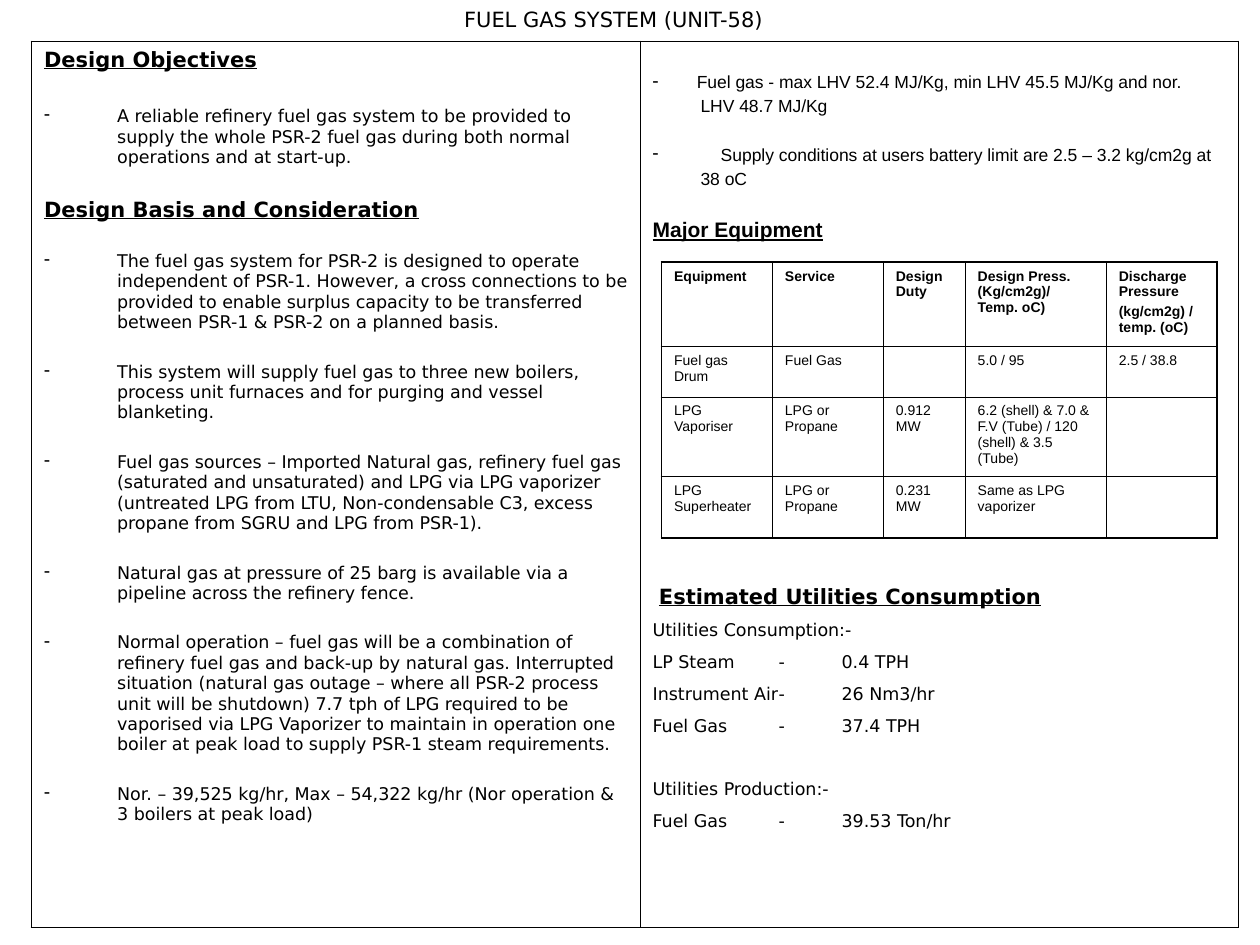
from dataclasses import dataclass, field
from typing import Optional

from lxml.etree import SubElement
from pptx import Presentation
from pptx.dml.color import RGBColor
from pptx.enum.text import MSO_ANCHOR, MSO_AUTO_SIZE, PP_ALIGN
from pptx.oxml.ns import qn
from pptx.util import Inches, Pt


@dataclass(frozen=True)
class Theme:
    ink: str = "000000"
    sans: str = "DejaVu Sans"
    arial: str = "Arial"
    heading: float = 12
    body: float = 10
    small: float = 8
    outer_line: float = 1.08
    inner_line: float = 0.45


THEME = Theme()


@dataclass(frozen=True)
class Line:
    text: str
    font: str = THEME.sans
    size: float = THEME.body
    bold: bool = False
    underline: bool = False
    before: float = 0
    left: float = 0
    dash: bool = False
    tabs: tuple[float, ...] = ()
    align: PP_ALIGN = PP_ALIGN.LEFT


@dataclass(frozen=True)
class Grid:
    left: float
    top: float
    columns: list[float]
    rows: list[float]
    cells: list[list[list[Line]]]
    margin_tops: dict[tuple[int, int], float] = field(default_factory=dict)


def heading(text: str, before: float = 0, font: str = THEME.sans, left: float = 0) -> Line:
    return Line(text, font, THEME.heading, True, True, before, left)


def bullet(text: str, before: float = 16.6) -> Line:
    return Line(text, before=before, left=0.58, dash=True)


def utility(label: str, amount: str) -> Line:
    return Line(f"{label}\t-\t{amount}", before=6.2, tabs=(1.38, 1.5))


def equipment(*texts: str, bold: bool = False) -> list[Line]:
    return [Line(text, THEME.arial, THEME.small, bold, before=2 if index else 0)
            for index, text in enumerate(texts)]


def write_line(paragraph, line: Line) -> None:
    paragraph.alignment = line.align
    paragraph.space_before = Pt(line.before)
    properties = paragraph._p.get_or_add_pPr()
    properties.set("marL", str(Inches(line.left)))
    properties.set("indent", str(-Inches(line.left) if line.dash else 0))
    if line.dash:
        color = SubElement(properties, qn("a:buClr"))
        SubElement(color, qn("a:srgbClr"), val=THEME.ink)
        SubElement(properties, qn("a:buChar"), char="-")
    else:
        SubElement(properties, qn("a:buNone"))
    if line.tabs:
        stops = SubElement(properties, qn("a:tabLst"))
        for stop in line.tabs:
            SubElement(stops, qn("a:tab"), pos=str(Inches(stop)), algn="l")
    if not line.text:
        SubElement(paragraph._p, qn("a:endParaRPr"), sz=str(int(line.size * 100)))
        return
    run = paragraph.add_run()
    run.text = line.text
    run.font.name = line.font
    run.font.size = Pt(line.size)
    run.font.bold = line.bold
    run.font.underline = line.underline
    run.font.color.rgb = RGBColor.from_string(THEME.ink)


def write_lines(frame, lines: list[Line]) -> None:
    for index, line in enumerate(lines):
        write_line(frame.add_paragraph() if index else frame.paragraphs[0], line)


def fill_placeholder(shape, left: float, top: float, width: float, height: float,
                     lines: list[Line]) -> None:
    shape.left, shape.top = Inches(left), Inches(top)
    shape.width, shape.height = Inches(width), Inches(height)
    frame = shape.text_frame
    frame.word_wrap = True
    frame.auto_size = MSO_AUTO_SIZE.NONE
    frame.vertical_anchor = MSO_ANCHOR.TOP
    write_lines(frame, lines)


def set_borders(cell, outer_sides: dict[str, bool]) -> None:
    properties = cell._tc.get_or_add_tcPr()
    for side, outer in outer_sides.items():
        width = THEME.outer_line if outer else THEME.inner_line
        border = SubElement(properties, qn(f"a:ln{side}"), w=str(Pt(width)))
        fill = SubElement(border, qn("a:solidFill"))
        SubElement(fill, qn("a:srgbClr"), val=THEME.ink)


def draw_grid(slide, grid: Grid) -> None:
    row_count, column_count = len(grid.rows), len(grid.columns)
    table = slide.shapes.add_table(
        row_count, column_count, Inches(grid.left), Inches(grid.top),
        Inches(sum(grid.columns)), Inches(sum(grid.rows))).table
    table.first_row = table.horz_banding = False
    for column, width in zip(table.columns, grid.columns):
        column.width = Inches(width)
    for row, height in zip(table.rows, grid.rows):
        row.height = Inches(height)
    for row_index, row_cells in enumerate(grid.cells):
        for column_index, lines in enumerate(row_cells):
            cell = table.cell(row_index, column_index)
            margin_top: Optional[float] = grid.margin_tops.get((row_index, column_index))
            if margin_top:
                cell.margin_top = Inches(margin_top)
            set_borders(cell, {"L": column_index == 0, "R": column_index == column_count - 1,
                               "T": row_index == 0, "B": row_index == row_count - 1})
            cell.fill.background()
            write_lines(cell.text_frame, lines)


DESIGN = [
    heading("Design Objectives"),
    bullet("A reliable refinery fuel gas system to be provided to supply the whole PSR-2 fuel gas "
           "during both normal operations and at start-up.", before=19.5),
    heading("Design Basis and Consideration", before=17.1),
    bullet("The fuel gas system for PSR-2 is designed to operate independent of PSR-1. However, a "
           "cross connections to be provided to enable surplus capacity to be transferred between "
           "PSR-1 & PSR-2 on a planned basis."),
    bullet("This system will supply fuel gas to three new boilers, process unit furnaces and for "
           "purging and vessel blanketing."),
    bullet("Fuel gas sources – Imported Natural gas, refinery fuel gas (saturated and unsaturated) "
           "and LPG via LPG vaporizer (untreated LPG from LTU, Non-condensable C3, excess propane "
           "from SGRU and LPG from PSR-1)."),
    bullet("Natural gas at pressure of 25 barg is available via a pipeline across the refinery fence."),
    bullet("Normal operation – fuel gas will be a combination of refinery fuel gas and back-up by "
           "natural gas. Interrupted situation (natural gas outage – where all PSR-2 process unit "
           "will be shutdown) 7.7 tph of LPG required to be vaporised via LPG Vaporizer to maintain "
           "in operation one boiler at peak load to supply PSR-1 steam requirements."),
    bullet("Nor. – 39,525 kg/hr, Max – 54,322 kg/hr (Nor operation & 3 boilers at peak load)"),
]
SUPPLY = [
    Line("Fuel gas - max LHV 52.4 MJ/Kg, min LHV 45.5 MJ/Kg and nor.", THEME.arial,
         left=0.35, dash=True),
    Line("LHV 48.7 MJ/Kg", THEME.arial, before=2.5, left=0.38),
    Line("Supply conditions at users battery limit are 2.5 – 3.2 kg/cm2g at", THEME.arial,
         before=16.5, left=0.54, dash=True),
    Line("38 oC", THEME.arial, before=2.5, left=0.38),
    heading("Major Equipment", before=17, font=THEME.arial),
]
EQUIPMENT_HEADER = [("Equipment",), ("Service",), ("Design Duty",),
                    ("Design Press. (Kg/cm2g)/ Temp. oC)",),
                    ("Discharge Pressure", "(kg/cm2g) / temp. (oC)")]
EQUIPMENT_ROWS = [
    ("Fuel gas Drum", "Fuel Gas", "", "5.0 / 95", "2.5 / 38.8"),
    ("LPG Vaporiser", "LPG or Propane", "0.912 MW",
     "6.2 (shell) & 7.0 & F.V (Tube) / 120 (shell) & 3.5 (Tube)", ""),
    ("LPG Superheater", "LPG or Propane", "0.231 MW", "Same as LPG vaporizer", ""),
]
UTILITIES = [
    heading("Estimated Utilities Consumption", left=0.05),
    Line("Utilities Consumption:-", before=6.2),
    utility("LP Steam", "0.4 TPH"),
    utility("Instrument Air", "26 Nm3/hr"),
    utility("Fuel Gas", "37.4 TPH"),
    Line("Utilities Production:-", before=24),
    utility("Fuel Gas", "39.53 Ton/hr"),
]


def main() -> None:
    """Build the fuel gas system slide and save it."""
    presentation = Presentation()
    presentation.slide_width, presentation.slide_height = Inches(10), Inches(7.5)
    slide = presentation.slides.add_slide(presentation.slide_layouts[1])
    title = Line("FUEL GAS SYSTEM (UNIT-58)", size=THEME.heading, align=PP_ALIGN.CENTER)
    fill_placeholder(slide.shapes.title, 0.33, 0, 9.08, 0.3, [title])
    draw_grid(slide, Grid(0.25, 0.33, [4.83, 4.75], [7.03], [[DESIGN, SUPPLY]], {(0, 1): 0.25}))
    equipment_cells = [[equipment(*texts, bold=True) for texts in EQUIPMENT_HEADER]]
    equipment_cells += [[equipment(text) for text in row] for row in EQUIPMENT_ROWS]
    draw_grid(slide, Grid(5.25, 2.08, [0.88, 0.88, 0.65, 1.12, 0.88],
                          [0.67, 0.4, 0.63, 0.49], equipment_cells))
    fill_placeholder(slide.placeholders[1], 5.08, 4.58, 4.67, 2.33, UTILITIES)
    presentation.save("out.pptx")


if __name__ == "__main__":
    main()
